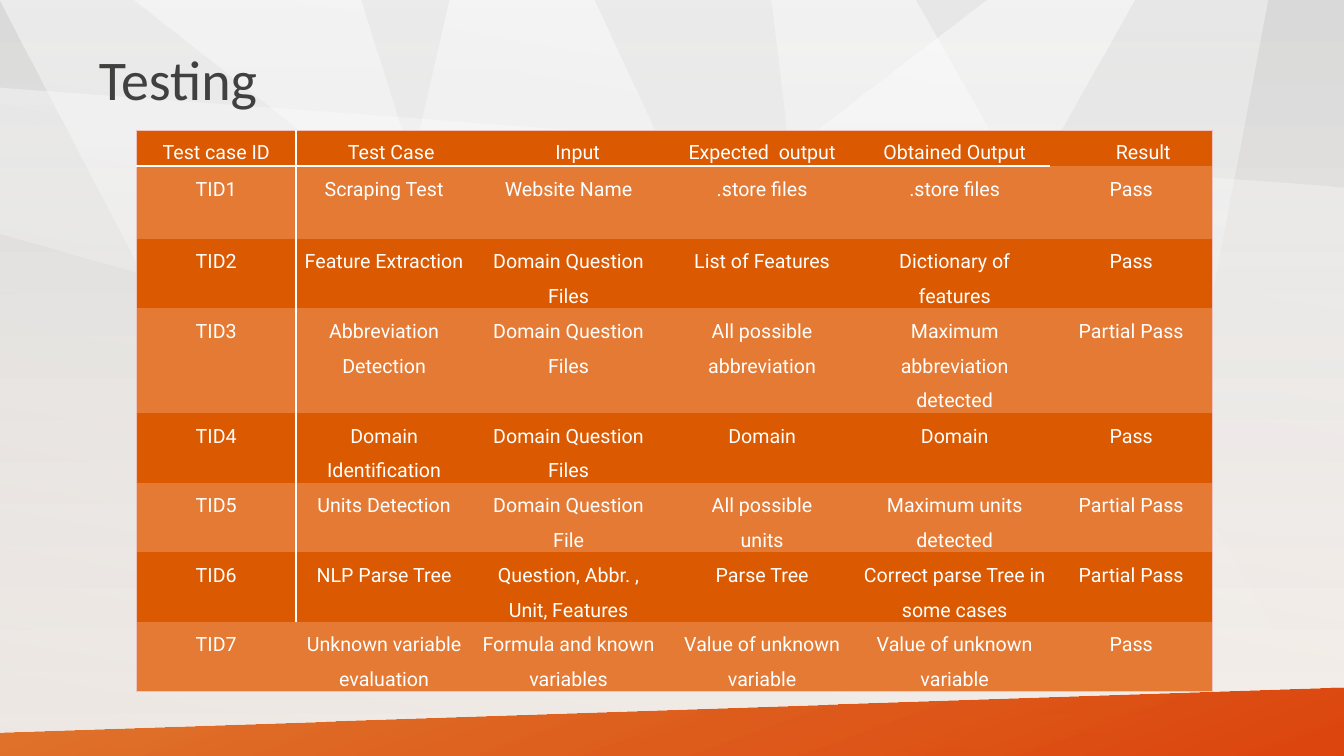
from dataclasses import dataclass

from lxml.etree import SubElement
from pptx import Presentation
from pptx.dml.color import RGBColor
from pptx.enum.shapes import MSO_SHAPE
from pptx.enum.text import MSO_ANCHOR, PP_ALIGN
from pptx.oxml.ns import qn
from pptx.util import Inches, Pt

# Content
TITLE = "Testing"
HEADERS = ["Test case ID", "Test Case", "Input", "Expected  output", "Obtained Output", "Result"]
TESTS = [
    ["TID1", "Scraping Test", "Website Name", ".store files", ".store files", "Pass"],
    ["TID2", "Feature Extraction", "Domain Question Files", "List of Features",
     "Dictionary of features", "Pass"],
    ["TID3", "Abbreviation Detection", "Domain Question Files", "All possible abbreviation",
     "Maximum abbreviation detected", "Partial Pass"],
    ["TID4", "Domain Identification", "Domain Question Files", "Domain", "Domain", "Pass"],
    ["TID5", "Units Detection", "Domain Question File", "All possible\nunits",
     "Maximum units detected", "Partial Pass"],
    ["TID6", "NLP Parse Tree", "Question, Abbr. , Unit, Features", "Parse Tree",
     "Correct parse Tree in some cases", "Partial Pass"],
    ["TID7", "Unknown variable evaluation", "Formula and known variables",
     "Value of unknown variable", "Value of unknown variable", "Pass"],
]
COLUMN_WIDTHS = [1.59, 1.74, 1.92, 1.92, 1.9, 1.6]
ROW_HEIGHTS = [0.36, 0.72, 0.69, 1.04, 0.69, 0.69, 0.69, 0.69]
HEADER_INDENTS = [0, 0.14, 0.18, 0, 0, 0.24]
ROOMY_ROWS = (5, 7)

# Background facets: opacity of the white at the top, then corner points
FACETS = [
    (50, [(9.79, 0), (0, 7.5), (7.01, 7.5), (11.25, 0)]),
    (50, [(0, 0), (3.58, 0), (5.94, 7.5), (3.91, 7.5)]),
    (50, [(1.32, 0), (9.07, 0), (13.33, 7.5), (10.83, 7.5)]),
    (40, [(7.65, 0), (8.56, 7.5), (11.15, 7.5), (12.57, 0)]),
    (50, [(5.89, 0), (4.46, 0), (2.72, 7.5), (9.39, 7.5)]),
    (40, [(0, 0.87), (13.33, 1.86), (13.33, 6.1), (0, 2.32)]),
]
FOOTER_BAND = [(0, 7.27), (13.33, 6.82), (13.33, 7.5), (0, 7.5)]


@dataclass(frozen=True)
class Theme:
    title_font: str = "Calibri"
    table_font: str = "Roboto"
    title_size: int = 40
    table_size: int = 14
    title: str = "404040"
    white: str = "FFFFFF"
    dark_row: str = "DB5900"
    light_row: str = "E47A33"
    outline: str = "EFC4BD"
    backdrop: tuple = (("D9D9D9", 50), ("FCF5EF", 100))
    shade: tuple = (("BFBFBF", 25), ("FFFFFF", 0))
    footer: tuple = (("DD5900", 80), ("DC3C00", 95))


THEME = Theme()


def write(frame, text, *, font, size, color, align, spacing):
    frame.text = text
    for paragraph in frame.paragraphs:
        paragraph.alignment = align
        paragraph.line_spacing = spacing
        for run in paragraph.runs:
            run.font.name = font
            run.font.size = Pt(size)
            run.font.color.rgb = RGBColor.from_string(color)


def paint_gradient(fill, element, stops, angle=90):
    """Fill with two (colour, opacity) stops; the angle runs clockwise."""
    fill.gradient()
    fill.gradient_angle = 360 - angle
    for position, (stop, (color, _)) in enumerate(zip(fill.gradient_stops, stops)):
        stop.position = position
        stop.color.rgb = RGBColor.from_string(color)
    gradient = element.find(".//" + qn("a:gradFill"))
    for color_node, (_, opacity) in zip(gradient.iter(qn("a:srgbClr")), stops):
        SubElement(color_node, qn("a:alpha"), val=str(opacity * 1000))


def finish_shape(shape, stops, angle=90):
    shape.shadow.inherit = False
    shape.line.fill.background()
    paint_gradient(shape.fill, shape.element, stops, angle)


def draw_polygon(slide, points, stops, angle=90):
    start, *rest = [(Inches(x), Inches(y)) for x, y in points]
    builder = slide.shapes.build_freeform(*start)
    builder.add_line_segments(rest, close=True)
    finish_shape(builder.convert_to_shape(), stops, angle)


def cell_borders(row, column):
    """Borders of one cell as side: (colour, points), in schema order."""
    last_row, last_column = len(TESTS), len(HEADERS) - 1
    outline = (THEME.outline, 0.5)
    borders = {}
    if column == 0:
        borders["L"] = outline
    if column == 0 and row < last_row:
        borders["R"] = (THEME.white, 1.5)
    if column == last_column:
        borders["R"] = outline
    if row == 0:
        borders["T"] = outline
    if row == 0 and column < last_column:
        borders["B"] = (THEME.white, 1.5)
    if row == last_row:
        borders["B"] = outline
    return borders


def style_cell(cell, row, column):
    cell_properties = cell._tc.get_or_add_tcPr()
    for side, (color, width) in cell_borders(row, column).items():
        line = SubElement(cell_properties, qn("a:ln" + side), w=str(Pt(width)))
        SubElement(SubElement(line, qn("a:solidFill")), qn("a:srgbClr"), val=color)
    cell.fill.solid()
    cell.fill.fore_color.rgb = RGBColor.from_string(
        THEME.light_row if row % 2 else THEME.dark_row)
    inset = 0.07 if row in ROOMY_ROWS else 0.05
    indent = HEADER_INDENTS[column] if row == 0 else 0
    cell.margin_left, cell.margin_right = Inches(inset + indent), Inches(inset)
    cell.margin_top = cell.margin_bottom = 0


def add_test_table(slide):
    rows = [HEADERS] + TESTS
    table = slide.shapes.add_table(
        len(rows), len(HEADERS), Inches(1.35), Inches(1.29),
        Inches(sum(COLUMN_WIDTHS)), Inches(sum(ROW_HEIGHTS))).table
    # Plain table style without a grid
    table._tbl.tblPr.find(qn("a:tableStyleId")).text = "{2D5ABB26-0587-4C30-8999-92F81FD0307C}"
    for column, width in zip(table.columns, COLUMN_WIDTHS):
        column.width = Inches(width)
    for row, height in zip(table.rows, ROW_HEIGHTS):
        row.height = Inches(height)
    for r, entries in enumerate(rows):
        for c, entry in enumerate(entries):
            cell = table.cell(r, c)
            style_cell(cell, r, c)
            write(cell.text_frame, entry, font=THEME.table_font, size=THEME.table_size,
                  color=THEME.white, align=PP_ALIGN.CENTER, spacing=1.5)


def main():
    deck = Presentation()
    deck.slide_width, deck.slide_height = Inches(13.33), Inches(7.5)
    slide = deck.slides.add_slide(deck.slide_layouts[5])

    # Background
    paint_gradient(slide.background.fill, slide.element, THEME.backdrop)
    for opacity, points in FACETS:
        draw_polygon(slide, points, ((THEME.white, opacity), (THEME.white, 0)))
    shade = slide.shapes.add_shape(
        MSO_SHAPE.RECTANGLE, 0, 0, deck.slide_width, deck.slide_height)
    finish_shape(shade, THEME.shade, angle=280)
    draw_polygon(slide, FOOTER_BAND, THEME.footer, angle=70)

    # Title, brought in front of the background
    title = slide.shapes.title
    title.element.getparent().append(title.element)
    title.left, title.top = Inches(0.88), Inches(0.09)
    title.width, title.height = Inches(11.5), Inches(1.45)
    title.text_frame.vertical_anchor = MSO_ANCHOR.MIDDLE
    write(title.text_frame, TITLE, font=THEME.title_font, size=THEME.title_size,
          color=THEME.title, align=PP_ALIGN.LEFT, spacing=0.9)

    # Test results
    add_test_table(slide)
    deck.save("out.pptx")


if __name__ == "__main__":
    main()
